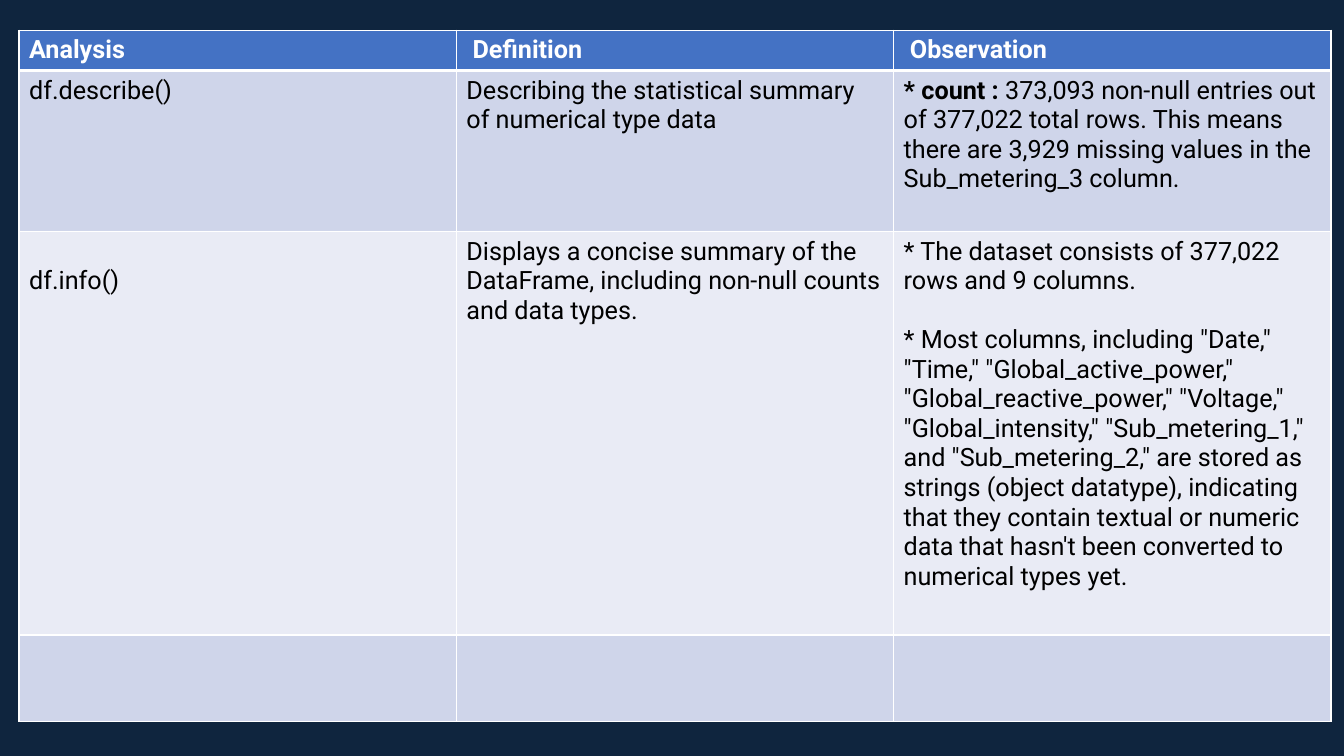
from lxml.etree import SubElement
from pptx import Presentation
from pptx.dml.color import RGBColor
from pptx.oxml.ns import qn
from pptx.util import Cm, Pt

NAVY = RGBColor(0x0F, 0x25, 0x3E)
BLUE = RGBColor(0x44, 0x72, 0xC4)
BAND_DARK = RGBColor(0xCF, 0xD5, 0xEA)
BAND_LIGHT = RGBColor(0xE9, 0xEB, 0xF5)
WHITE = RGBColor(0xFF, 0xFF, 0xFF)
BLACK = RGBColor(0x00, 0x00, 0x00)

COLUMN_WIDTH = 11.02
ROW_HEIGHTS = [1.02, 4.06, 10.16, 2.18]
ROW_FILLS = [BLUE, BAND_DARK, BAND_LIGHT, BAND_DARK]

HEADINGS = ["Analysis", "Definition", "Observation"]
ANALYSES = [
    [
        ["df.describe()"],
        ["Describing the statistical summary of numerical type data"],
        [("* count :", " 373,093 non-null entries out of 377,022 total rows. "
          "This means there are 3,929 missing values in the Sub_metering_3 column.")],
    ],
    [
        ["df.info()"],
        ["Displays a concise summary of the",
         "DataFrame, including non-null counts and data types."],
        ["* The dataset consists of 377,022 rows and 9 columns.",
         '* Most columns, including "Date," "Time," "Global_active_power," '
         '"Global_reactive_power," "Voltage," "Global_intensity," "Sub_metering_1," '
         'and "Sub_metering_2," are stored as strings (object datatype), indicating '
         "that they contain textual or numeric data that hasn't been converted to "
         "numerical types yet."],
    ],
    [[], [], []],
]


class AnalysisPage:
    """Holds the text style and the current slide."""

    font = {"name": "Roboto", "size": Pt(18)}

    def __init__(self, deck):
        self.page = deck.slides.add_slide(deck.slide_layouts[6])
        background = self.page.background.fill
        background.solid()
        background.fore_color.rgb = NAVY

    def table(self, left, top, column_count):
        frame = self.page.shapes.add_table(
            len(ROW_HEIGHTS), column_count, Cm(left), Cm(top),
            Cm(COLUMN_WIDTH * column_count), Cm(sum(ROW_HEIGHTS)))
        grid = frame.table
        for column in grid.columns:
            column.width = Cm(COLUMN_WIDTH)
        for row, height, color in zip(grid.rows, ROW_HEIGHTS, ROW_FILLS):
            row.height = Cm(height)
            for cell in row.cells:
                self.borders(cell, is_heading=color == BLUE)
                cell.fill.solid()
                cell.fill.fore_color.rgb = color
                self.style(cell.text_frame.paragraphs[0].font)
        for cell in grid.rows[1].cells:
            cell._tc.tcPr.find(qn("a:lnT")).set("w", str(Pt(3)))
        return grid

    def borders(self, cell, is_heading):
        properties = cell._tc.get_or_add_tcPr()
        for side in ("lnL", "lnR", "lnT", "lnB"):
            width = Pt(3) if is_heading and side == "lnB" else Pt(1)
            line = SubElement(properties, qn(f"a:{side}"), w=str(width))
            fill = SubElement(line, qn("a:solidFill"))
            SubElement(fill, qn("a:srgbClr"), val=str(WHITE))

    def style(self, font, color=BLACK, bold=False):
        for name, value in {**self.font, "bold": bold}.items():
            setattr(font, name, value)
        font.color.rgb = color

    def span(self, para, text, color=BLACK, bold=False):
        span = para.add_run()
        span.text = text
        self.style(span.font, color, bold)

    def heading(self, cell, text):
        self.span(cell.text_frame.paragraphs[0], text, WHITE, True)

    def body(self, cell, paragraphs):
        frame = cell.text_frame
        for index, content in enumerate(paragraphs):
            para = frame.add_paragraph() if index else frame.paragraphs[0]
            label, text = content if isinstance(content, tuple) else ("", content)
            if label:
                self.span(para, label, bold=True)
            self.span(para, text)


def main():
    deck = Presentation()
    deck.slide_width, deck.slide_height = Cm(33.87), Cm(19.05)
    summary = AnalysisPage(deck)
    grid = summary.table(0.48, 0.76, len(HEADINGS))
    for column, heading in enumerate(HEADINGS):
        summary.heading(grid.cell(0, column), heading)
        if column:
            grid.cell(0, column).margin_left = Cm(0.41)
    for row, contents in enumerate(ANALYSES, start=1):
        for column, paragraphs in enumerate(contents):
            summary.body(grid.cell(row, column), paragraphs)
    grid.cell(2, 0).margin_top = Cm(0.87)
    grid.cell(2, 2).text_frame.paragraphs[1].space_before = Pt(21)
    deck.save("out.pptx")


if __name__ == "__main__":
    main()
